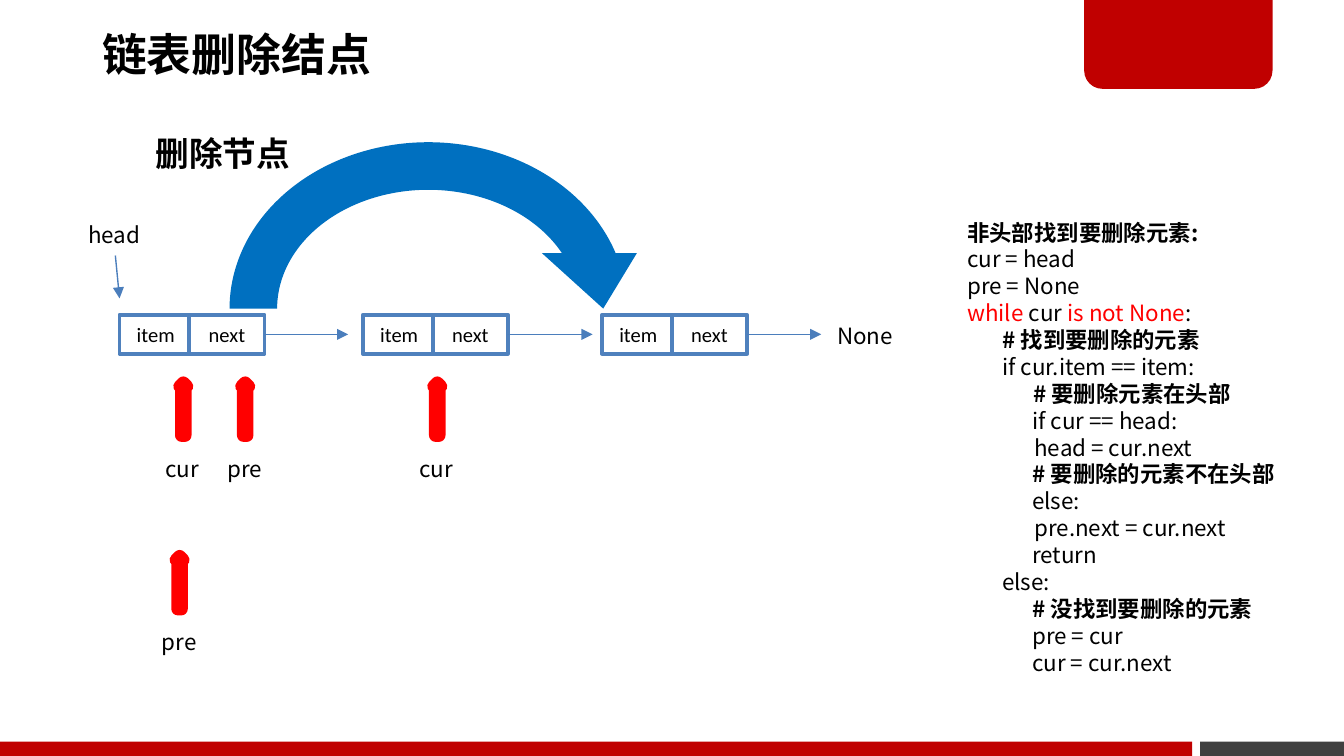
"""Build the slide that explains deleting a node from a linked list."""

from typing import NamedTuple

import lxml.etree
import pptx
import pptx.dml.color
import pptx.enum.shapes
import pptx.enum.text
import pptx.oxml.ns
import pptx.util
from pptx.util import Cm

SHAPE = pptx.enum.shapes.MSO_SHAPE
ANCHOR = pptx.enum.text.MSO_ANCHOR
ALIGN = pptx.enum.text.PP_ALIGN
BLACK = pptx.dml.color.RGBColor(0x00, 0x00, 0x00)
WHITE = pptx.dml.color.RGBColor(0xFF, 0xFF, 0xFF)
RED = pptx.dml.color.RGBColor(0xFF, 0x00, 0x00)
BRAND_RED = pptx.dml.color.RGBColor(0xC0, 0x00, 0x00)
GREY = pptx.dml.color.RGBColor(0x40, 0x40, 0x40)
CELL_BLUE = pptx.dml.color.RGBColor(0x4F, 0x81, 0xBD)
LINK_BLUE = pptx.dml.color.RGBColor(0x4B, 0x7E, 0xBC)
ARC_BLUE = pptx.dml.color.RGBColor(0x00, 0x70, 0xC0)
CJK = "Noto Sans CJK SC"
NODE_TOP, NODE_HEIGHT = 5.95, 0.74


class Area(NamedTuple):
    left: float
    top: float
    width: float
    height: float


class Span(NamedTuple):
    text: str
    bold: bool = False
    color: pptx.dml.color.RGBColor = BLACK


class Block(NamedTuple):
    area: Area
    kind: SHAPE
    color: pptx.dml.color.RGBColor


class Node(NamedTuple):
    left: float
    link_end: float


class Pointer(NamedTuple):
    name: str
    left: float
    top: float
    label_width: float


class Label(NamedTuple):
    area: Area
    lines: list[list[Span]]
    size: float = 12


BLOCKS = [
    Block(Area(22.68, 14.02, 2.72, 0.27), SHAPE.RECTANGLE, GREY),
    Block(Area(0, 14.02, 22.53, 0.27), SHAPE.RECTANGLE, BRAND_RED),
]
NODES = [Node(2.26, 6.58), Node(6.86, 11.2), Node(11.38, 15.52)]
POINTERS = [
    Pointer("cur", 3.4, 7.24, 1.14),
    Pointer("pre", 4.57, 7.24, 1.19),
    Pointer("cur", 8.2, 7.24, 1.14),
    Pointer("pre", 3.33, 10.52, 1.19),
]
CODE = [
    [Span("非头部找到要删除元素:", True)],
    [Span("cur = head")],
    [Span("pre = None")],
    [Span("while ", color=RED), Span("cur "), Span("is not None", color=RED), Span(":")],
    [Span("       "), Span("# 找到要删除的元素", True)],
    [Span("       if cur.item == item:")],
    [Span("             # 要删除元素在头部", True)],
    [Span("             if cur == head:")],
    [Span("\thead = cur.next")],
    [Span("             "), Span("# 要删除的元素不在头部", True)],
    [Span("             else:")],
    [Span("\tpre.next = cur.next")],
    [Span("             return")],
    [Span("       else:")],
    [Span("             "), Span("# 没找到要删除的元素", True)],
    [Span("             pre = cur")],
    [Span("             cur = cur.next")],
]
LABELS = [
    Label(Area(2.69, 2.39, 3.07, 1.02), [[Span("删除节点", True)]], 18),
    Label(Area(1.42, 4.06, 1.52, 0.76), [[Span("head")]]),
    Label(Area(15.57, 5.97, 1.63, 0.76), [[Span("None")]]),
    Label(Area(18.03, 4.01, 6.88, 8.97), CODE),
]


def apply(target: object, values: dict) -> None:
    """Set every named value on the target."""
    for name, value in values.items():
        setattr(target, name, value)


def lengths(area: Area) -> list[pptx.util.Length]:
    """Turn an area in centimetres into lengths."""
    return [Cm(value) for value in area]


def write(para: object, span: Span, size: float, face: str = CJK) -> None:
    """Add one formatted span to a paragraph."""
    run = para.add_run()
    run.text = span.text
    apply(run.font, {"size": pptx.util.Pt(size), "bold": span.bold, "name": face})
    run.font.color.rgb = span.color
    east = lxml.etree.SubElement(run.font._element, pptx.oxml.ns.qn("a:ea"))
    east.set("typeface", face)


def add_label(page: object, label: Label) -> None:
    """Add a text box that fits its lines."""
    frame = page.shapes.add_textbox(*lengths(label.area)).text_frame
    apply(frame, {"word_wrap": False,
                  "auto_size": pptx.enum.text.MSO_AUTO_SIZE.SHAPE_TO_FIT_TEXT})
    for index, line in enumerate(label.lines):
        para = frame.add_paragraph() if index else frame.paragraphs[0]
        for span in line:
            write(para, span, label.size)


def add_block(page: object, block: Block) -> object:
    """Add a plain filled shape without an outline."""
    shape = page.shapes.add_shape(block.kind, *lengths(block.area))
    shape.shadow.inherit = False
    shape.fill.solid()
    shape.fill.fore_color.rgb = block.color
    shape.line.fill.background()
    return shape


def outline(shape: object, color: pptx.dml.color.RGBColor, width: float) -> None:
    """Give a shape or connector a solid line."""
    shape.line.color.rgb = color
    shape.line.width = pptx.util.Pt(width)


def add_cell(page: object, text: str, left: float, width: float) -> object:
    """Add one cell of a list node."""
    area = Area(left, NODE_TOP, width, NODE_HEIGHT)
    cell = add_block(page, Block(area, SHAPE.RECTANGLE, WHITE))
    outline(cell, CELL_BLUE, 2)
    cell.text_frame.vertical_anchor = ANCHOR.MIDDLE
    para = cell.text_frame.paragraphs[0]
    para.alignment = ALIGN.CENTER
    write(para, Span(text), 11, "Calibri")
    return cell


def add_link(page: object, left: float, top: float, right: float, bottom: float) -> object:
    """Add a thin line with an arrowhead at its end."""
    link = page.shapes.add_connector(pptx.enum.shapes.MSO_CONNECTOR.STRAIGHT,
                                     Cm(left), Cm(top), Cm(right), Cm(bottom))
    outline(link, LINK_BLUE, 0.75)
    line = link.line._get_or_add_ln()
    lxml.etree.SubElement(line, pptx.oxml.ns.qn("a:tailEnd")).set("type", "triangle")
    lxml.etree.SubElement(link._element.spPr, pptx.oxml.ns.qn("a:effectLst"))
    return link


def add_node(page: object, node: Node) -> None:
    """Add a two-cell node and its outgoing link."""
    add_cell(page, "item", node.left, 1.37)
    cell = add_cell(page, "next", node.left + 1.32, 1.42)
    middle = NODE_TOP + NODE_HEIGHT / 2
    link = add_link(page, node.left + 2.74, middle, node.link_end, middle)
    link.begin_connect(cell, 3)


def add_pointer(page: object, pointer: Pointer) -> None:
    """Add a red up arrow with its name below."""
    area = Area(pointer.left, pointer.top, 0.13, 0.99)
    outline(add_block(page, Block(area, SHAPE.UP_ARROW, RED)), RED, 7)
    area = Area(pointer.left - 0.52, pointer.top + 1.23, pointer.label_width, 0.76)
    add_label(page, Label(area, [[Span(pointer.name)]]))


def add_title(page: object, text: str) -> None:
    """Place and format the title placeholder."""
    title = page.shapes.title
    names = ("left", "top", "width", "height")
    apply(title, dict(zip(names, lengths(Area(1.75, -0.05, 14.96, 2.26)))))
    apply(title.text_frame, {
        "vertical_anchor": ANCHOR.MIDDLE, "word_wrap": True,
        "margin_left": Cm(0.18), "margin_right": Cm(0.18),
        "margin_top": Cm(0.1), "margin_bottom": Cm(0.1)})
    para = title.text_frame.paragraphs[0]
    apply(para, {"alignment": ALIGN.LEFT, "line_spacing": 0.9})
    write(para, Span(text, True), 24)


def main() -> None:
    """Build and save the deck."""
    deck = pptx.Presentation()
    apply(deck, {"slide_width": Cm(25.4), "slide_height": Cm(14.29)})
    page = deck.slides.add_slide(deck.slide_layouts[5])
    add_title(page, "链表删除结点")
    for block in BLOCKS:
        add_block(page, block)
    corner = add_block(page, Block(Area(20.49, -0.05, 3.56, 1.73),
                                   SHAPE.ROUND_2_SAME_RECTANGLE, BRAND_RED))
    corner.adjustments[0], corner.adjustments[1] = 0, 0.2
    for label in LABELS:
        add_label(page, label)
    for node in NODES:
        add_node(page, node)
    add_link(page, 2.18, 4.83, 2.26, 5.64)
    for pointer in POINTERS:
        add_pointer(page, pointer)
    add_block(page, Block(Area(3.89, 2.24, 8.41, 7.19), SHAPE.CIRCULAR_ARROW, ARC_BLUE))
    deck.save("out.pptx")


if __name__ == "__main__":
    main()
